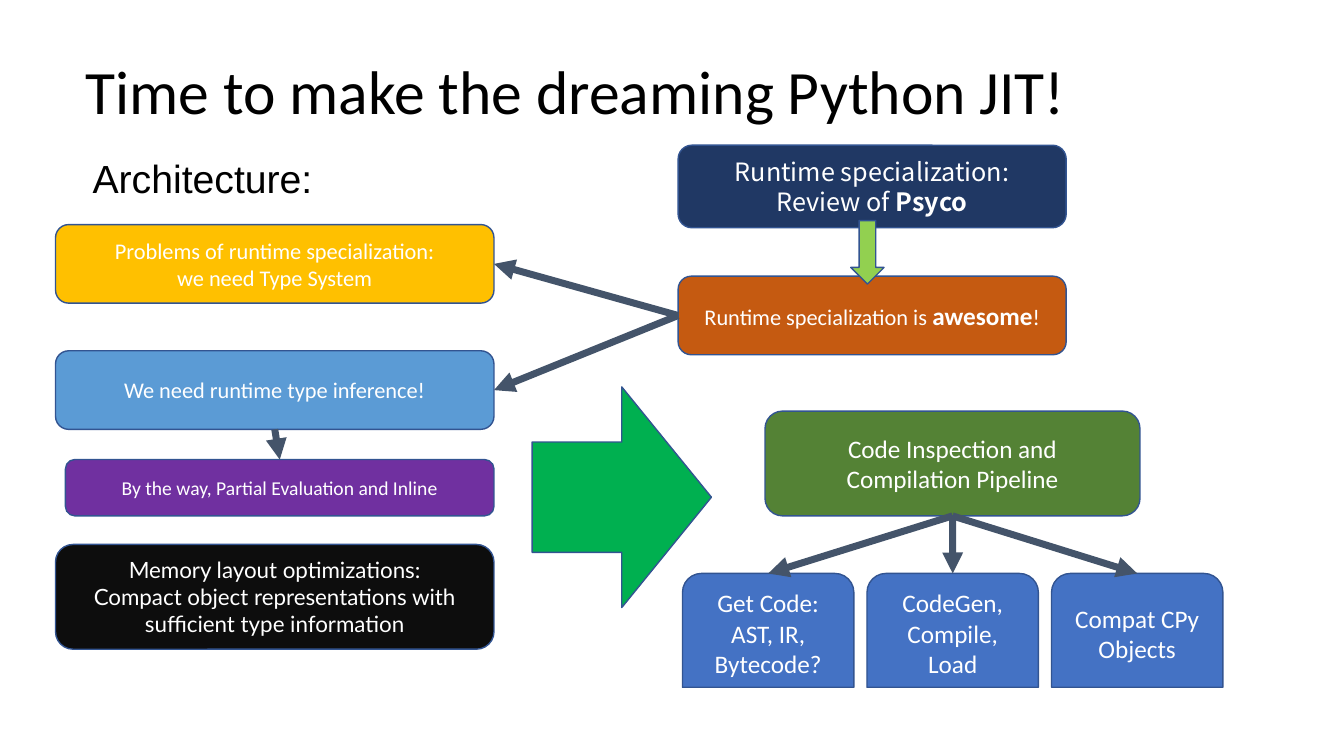
from dataclasses import dataclass
from typing import NamedTuple

from lxml.etree import SubElement
from pptx import Presentation
from pptx.dml.color import RGBColor
from pptx.enum.shapes import MSO_CONNECTOR, MSO_SHAPE
from pptx.enum.text import MSO_ANCHOR, MSO_AUTO_SIZE, PP_ALIGN
from pptx.oxml.ns import qn
from pptx.util import Cm, Pt

OUTLINE, ARROW, WHITE, BLACK = "325491", "44546A", "FFFFFF", "000000"
STAGE_FILL = "4472C4"
TOP, LEFT, BOTTOM, RIGHT = range(4)  # connection sites of a rounded rectangle


class Area(NamedTuple):
    """Left, top, width and height in centimetres."""
    left: float
    top: float
    width: float
    height: float


class Span(NamedTuple):
    """A piece of text that may be bold or have its own size."""
    text: str
    bold: bool = False
    size: float | None = None


@dataclass
class Block:
    """A filled preset shape with centred lines, each a list of spans."""
    area: Area
    fill: str
    lines: tuple[tuple[Span, ...], ...] = ()
    size: float = 18
    font: str = "Calibri"
    preset: MSO_SHAPE = MSO_SHAPE.ROUNDED_RECTANGLE
    spacing: Pt | None = None


def color(value):
    """Turn a hex string into a colour."""
    return RGBColor.from_string(value)


def plain(*texts):
    """Make one plain line of each text."""
    return tuple((Span(text),) for text in texts)


def style(paragraph, font, size, value):
    """Set the font, size and colour of a paragraph."""
    paragraph.font.name = font
    paragraph.font.size = Pt(size)
    paragraph.font.color.rgb = color(value)


def add_block(page, block):
    """Draw a block and return its shape."""
    box = page.shapes.add_shape(block.preset, *map(Cm, block.area))
    box.shadow.inherit = False
    box.fill.solid()
    box.fill.fore_color.rgb = color(block.fill)
    box.line.color.rgb = color(OUTLINE)
    box.line.width = Pt(1)
    frame = box.text_frame
    frame.word_wrap = True
    frame.vertical_anchor = MSO_ANCHOR.MIDDLE
    for index, line in enumerate(block.lines):
        paragraph = frame.add_paragraph() if index else frame.paragraphs[0]
        paragraph.alignment = PP_ALIGN.CENTER
        paragraph.line_spacing = block.spacing
        style(paragraph, block.font, block.size, WHITE)
        for span in line:
            run = paragraph.add_run()
            run.text = span.text
            if span.bold:
                run.font.bold = True
            if span.size:
                run.font.size = Pt(span.size)
    return box


def add_arrow(page, source, site, target, target_site):
    """Draw an arrow from a site of one box to the top or a side of another."""
    arrow = page.shapes.add_connector(
        MSO_CONNECTOR.STRAIGHT, 0, 0, target.left + target.width // 2, target.top)
    arrow.begin_connect(source, site)
    if target.auto_shape_type == MSO_SHAPE.ROUNDED_RECTANGLE:
        arrow.end_connect(target, target_site)
    arrow.line.color.rgb = color(ARROW)
    arrow.line.width = Pt(5)
    SubElement(arrow.line._get_or_add_ln(), qn("a:tailEnd"), type="triangle")
    SubElement(arrow._element.spPr, qn("a:effectLst"))


def fill_placeholder(box, area, text, font, size, anchor):
    """Move a placeholder and give it one left-aligned line without a bullet."""
    box.left, box.top, box.width, box.height = map(Cm, area)
    frame = box.text_frame
    frame.text = text
    frame.auto_size = MSO_AUTO_SIZE.NONE
    frame.vertical_anchor = anchor
    paragraph = frame.paragraphs[0]
    paragraph.alignment = PP_ALIGN.LEFT
    paragraph.line_spacing = 0.9
    style(paragraph, font, size, BLACK)
    return paragraph


deck = Presentation()
deck.slide_width, deck.slide_height = Cm(33.87), Cm(19.05)
page = deck.slides.add_slide(deck.slide_layouts[1])

fill_placeholder(page.shapes.title, Area(1.9, 0.53, 30.73, 3.68),
                 "Time to make the dreaming Python JIT!", "Calibri", 44,
                 MSO_ANCHOR.MIDDLE)
heading = fill_placeholder(page.placeholders[1], Area(2.08, 3.89, 29.21, 12.09),
                           "Architecture:", "Arial", 28, MSO_ANCHOR.TOP)
heading.space_before = Pt(10)
properties = heading._p.get_or_add_pPr()
properties.set("marL", "0")
properties.set("indent", "0")
properties.insert_element_before(
    properties.makeelement(qn("a:buNone")), "a:tabLst", "a:defRPr", "a:extLst")

add_block(page, Block(
    Area(17.09, 3.66, 9.78, 2.08), "203864",
    plain("Runtime specialization:") + ((Span("Review of "), Span("Psyco", True)),),
    font="Noto Sans CJK JP", spacing=Pt(21.5)))
specialization = add_block(page, Block(
    Area(17.09, 6.96, 9.78, 1.98), "C55A11",
    ((Span("Runtime specialization is "), Span("awesome", True, 18), Span("!")),), 16))
problems = add_block(page, Block(
    Area(1.4, 5.66, 11.05, 1.98), "FFC000",
    plain("Problems of runtime specialization:", "we need Type System"), 16))
add_block(page, Block(
    Area(1.4, 13.72, 11.05, 2.64), "0D0D0D",
    plain("Memory layout optimizations:",
          "Compact object representations with sufficient type information"),
    16, "Lato"))
inference = add_block(page, Block(
    Area(1.4, 8.84, 11.05, 1.98), "5B9BD5",
    plain("We need runtime type inference!"), 16))
pipeline = add_block(page, Block(
    Area(19.28, 10.36, 9.45, 2.64), "548235",
    plain("Code Inspection and", "Compilation Pipeline")))
evaluation = add_block(page, Block(
    Area(1.65, 11.58, 10.8, 1.42), "7030A0",
    plain("By the way, Partial Evaluation and Inline"), 14))

stage_texts = (("Get Code:", "AST, IR, Bytecode?"),
               ("CodeGen, Compile, Load",),
               ("Compat CPy Objects",))
stages = [
    add_block(page, Block(Area(17.2 + 4.65 * column, 14.45, 4.32, 2.87), STAGE_FILL,
                          plain(*texts), preset=MSO_SHAPE.ROUND_2_SAME_RECTANGLE))
    for column, texts in enumerate(stage_texts)]

add_block(page, Block(Area(21.44, 5.56, 0.84, 1.6), "92D050",
                      preset=MSO_SHAPE.DOWN_ARROW))
for target in (problems, inference):
    add_arrow(page, specialization, LEFT, target, RIGHT)
add_arrow(page, inference, BOTTOM, evaluation, TOP)
for stage in stages:
    add_arrow(page, pipeline, BOTTOM, stage, TOP)
add_block(page, Block(Area(13.41, 9.75, 4.52, 5.56), "00B050",
                      preset=MSO_SHAPE.RIGHT_ARROW))

deck.save("out.pptx")
